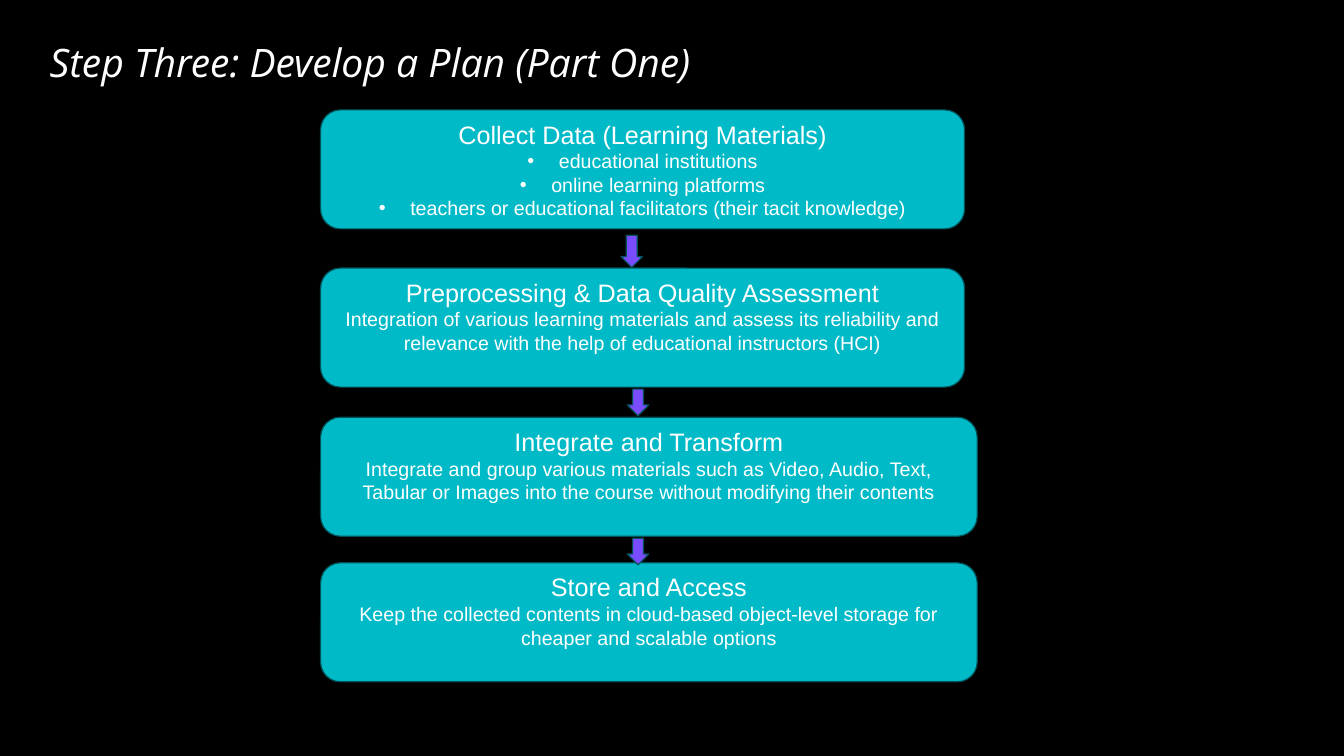
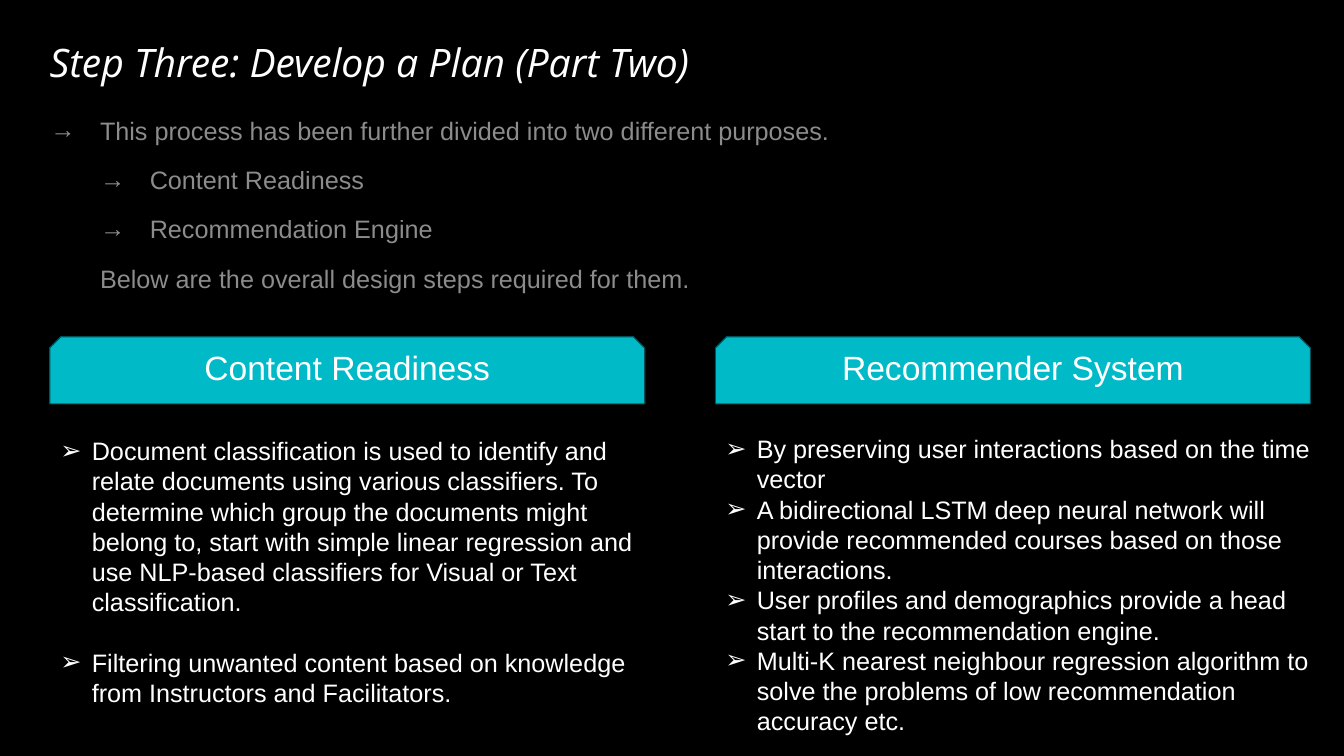
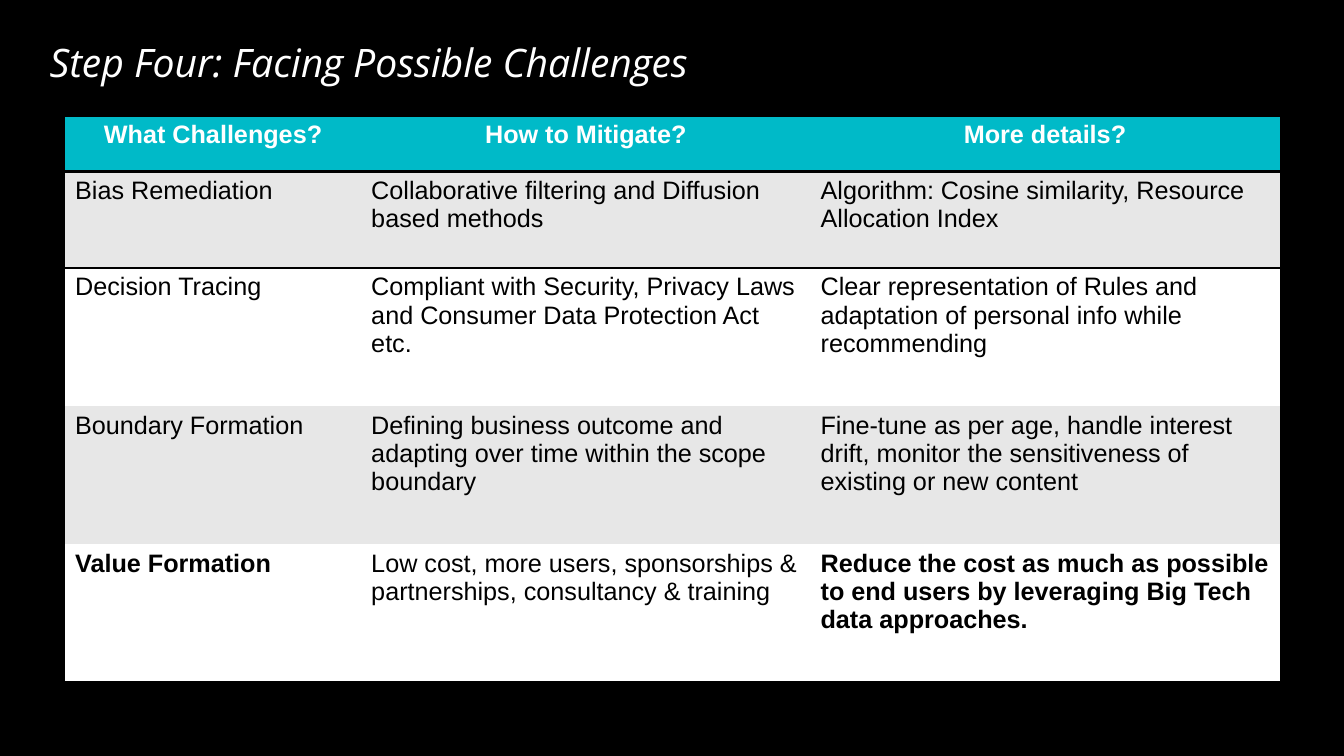
"""Build three slides on a learning platform plan: data steps, design steps and challenges."""
from lxml import etree
from pptx import Presentation
from pptx.dml.color import RGBColor
from pptx.enum import shapes, text
from pptx.oxml import ns
from pptx.util import Pt

COLOURS = {
    "black": "000000",
    "white": "FFFFFF",
    "teal": "00BAC8",
    "outline": "005258",
    "violet": "794DFF",
    "band": "E7E7E7",
}
RGB = {name: RGBColor.from_string(value) for name, value in COLOURS.items()}
CENTER = text.PP_ALIGN.CENTER
PRESET = shapes.MSO_SHAPE


def write(frame, words, size=18, colour="white", font="Arial", align=None, bullet=None, margin=0, hanging=0):
    paragraph = frame.paragraphs[0]
    if paragraph.runs:
        paragraph = frame.add_paragraph()
    paragraph.alignment = align
    run = paragraph.add_run()
    run.text = words
    run.font.size = Pt(size)
    run.font.name = font
    run.font.color.rgb = RGB[colour]
    if margin:
        properties = paragraph._p.get_or_add_pPr()
        properties.set("marL", str(Pt(margin)))
        properties.set("indent", str(-Pt(hanging)))
        if bullet:
            etree.SubElement(properties, ns.qn("a:buFont"), typeface="Arial")
            etree.SubElement(properties, ns.qn("a:buChar"), char=bullet)
    return paragraph


def add_block(slide, preset, left, top, width, height, fill):
    block = slide.shapes.add_shape(preset, Pt(left), Pt(top), Pt(width), Pt(height))
    block.shadow.inherit = False
    block.fill.solid()
    block.fill.fore_color.rgb = RGB[fill]
    block.line.color.rgb = RGB["outline"]
    block.line.width = Pt(0.85)
    return block


deck = Presentation()
deck.slide_width, deck.slide_height = Pt(960), Pt(540)

slides = []
for heading in (
    "Step Three: Develop a Plan (Part One)",
    "Step Three: Develop a Plan (Part Two)",
    "Step Four: Facing Possible Challenges",
):
    slide = deck.slides.add_slide(deck.slide_layouts[6])
    slide.background.fill.solid()
    slide.background.fill.fore_color.rgb = RGB["black"]
    title = slide.shapes.add_textbox(Pt(35.5), Pt(31), Pt(890), Pt(35)).text_frame
    title.word_wrap = True
    title.margin_left = title.margin_top = title.margin_right = title.margin_bottom = 0
    line = write(title, heading, 28, font="Open Sans")
    line.line_spacing = 0.9
    line.runs[0].font.italic = True
    slides.append(slide)
pipeline, design, challenges = slides

steps = [
    (78.5, 460, "Collect Data (Learning Materials)", [
        "educational institutions",
        "online learning platforms",
        "teachers or educational facilitators (their tacit knowledge)",
    ]),
    (191.5, 460, "Preprocessing & Data Quality Assessment", [
        "Integration of various learning materials and assess its reliability and relevance "
        "with the help of educational instructors (HCI)",
    ]),
    (298, 469, "Integrate and Transform", [
        "Integrate and group various materials such as Video, Audio, Text, Tabular or Images "
        "into the course without modifying their contents",
    ]),
    (402, 469, "Store and Access", [
        "Keep the collected contents in cloud-based object-level storage for cheaper and scalable options",
    ]),
]
for top, width, name, details in steps:
    step = add_block(pipeline, PRESET.ROUNDED_RECTANGLE, 229, top, width, 85, "teal").text_frame
    step.word_wrap = True
    step.vertical_anchor = text.MSO_ANCHOR.MIDDLE
    write(step, name, align=CENTER)
    listed = len(details) > 1
    for detail in details:
        write(step, detail, 14, align=CENTER, bullet="•", margin=22.5 * listed, hanging=22.5)
    if not listed:
        step.margin_bottom = Pt(20.5)

for left, top, height in ((443.5, 168, 23), (448, 278, 19), (448, 384.5, 19)):
    add_block(pipeline, PRESET.DOWN_ARROW, left, top, 15.5, height, "violet")

intro = design.shapes.add_textbox(Pt(36), Pt(73.5), Pt(889), Pt(137.5)).text_frame
intro.word_wrap = True
intro.margin_left = intro.margin_top = intro.margin_bottom = 0
for words, bullet, margin, hanging, before in (
    ("This process has been further divided into two different purposes.", "→", 35.5, 35.5, 10),
    ("Content Readiness", "→", 71, 35.5, 5),
    ("Recommendation Engine", "→", 71, 35.5, 5),
    ("Below are the overall design steps required for them.", None, 35.5, 0, 5),
):
    line = write(intro, words, bullet=bullet, margin=margin, hanging=hanging)
    line.line_spacing = 1.4
    line.space_before = Pt(before)
    tint = line.runs[0]._r.find(".//" + ns.qn("a:srgbClr"))
    etree.SubElement(tint, ns.qn("a:alpha"), val="55000")

purposes = [
    (35.5, 36, 307.5, 0, 21.5, "Content Readiness", [
        "Document classification is used to identify and relate documents using various classifiers. "
        "To determine which group the documents might belong to, start with simple linear regression "
        "and use NLP-based classifiers for Visual or Text classification.",
        "Filtering unwanted content based on knowledge from Instructors and Facilitators.",
    ]),
    (511, 511, 306, 0, 0, "Recommender System", [
        "By preserving user interactions based on the time vector",
        "A bidirectional LSTM deep neural network will provide recommended courses based on those interactions.",
        "User profiles and demographics provide a head start to the recommendation engine.",
        "Multi-K nearest neighbour regression algorithm to solve the problems of low recommendation accuracy etc.",
    ]),
]
for banner_left, list_left, list_top, first_gap, gap, name, points in purposes:
    banner = add_block(design, PRESET.SNIP_2_SAME_RECTANGLE, banner_left, 240.5, 425, 48, "teal").text_frame
    banner.word_wrap = True
    banner.vertical_anchor = text.MSO_ANCHOR.TOP
    write(banner, name, 24, align=CENTER)
    points_frame = design.shapes.add_textbox(Pt(list_left), Pt(list_top), Pt(444), Pt(220)).text_frame
    points_frame.word_wrap = True
    for index, point in enumerate(points):
        line = write(points_frame, point, bullet="➢", margin=22.5, hanging=22.5)
        line.space_before = Pt(gap if index else first_gap)

rows = [
    ("What Challenges?", "How to Mitigate?", "More details?"),
    ("Bias Remediation", "Collaborative filtering and Diffusion based methods",
     "Algorithm: Cosine similarity, Resource Allocation Index"),
    ("Decision Tracing", "Compliant with Security, Privacy Laws and Consumer Data Protection Act etc.",
     "Clear representation of Rules and adaptation of personal info while recommending"),
    ("Boundary Formation", "Defining business outcome and adapting over time within the scope boundary",
     "Fine-tune as per age, handle interest drift, monitor the sensitiveness of existing or new content"),
    ("Value Formation", "Low cost, more users, sponsorships & partnerships, consultancy & training",
     "Reduce the cost as much as possible to end users by leveraging Big Tech data approaches."),
]
bold_cells = {(0, 0), (0, 1), (0, 2), (4, 0), (4, 2)}
ruled_sides = {0: ("a:lnT", "a:lnB"), 1: ("a:lnT",), 4: ("a:lnB",)}
frame = challenges.shapes.add_table(5, 3, Pt(46.5), Pt(82.5), Pt(867.5), Pt(405))
grid = frame.table
grid.horz_banding = False
frame._element.find(".//" + ns.qn("a:tableStyleId")).text = "{2D5ABB26-0587-4C30-8999-92F81FD0307C}"
for column, width in zip(grid.columns, (211.5, 321, 335)):
    column.width = Pt(width)
for row, height in zip(grid.rows, (40, 69, 98.67, 98.67, 98.67)):
    row.height = Pt(height)
for r, entries in enumerate(rows):
    for c, entry in enumerate(entries):
        cell = grid.cell(r, c)
        for side in ruled_sides.get(r, ()):
            border = etree.SubElement(cell._tc.get_or_add_tcPr(), ns.qn(side), w=str(Pt(2)))
            paint = etree.SubElement(border, ns.qn("a:solidFill"))
            etree.SubElement(paint, ns.qn("a:srgbClr"), val=COLOURS["black"])
        cell.fill.solid()
        cell.fill.fore_color.rgb = RGB["teal" if r == 0 else "band" if r % 2 else "white"]
        line = write(cell.text_frame, entry, colour="black" if r else "white", align=None if r else CENTER)
        line.runs[0].font.bold = (r, c) in bold_cells

deck.save("out.pptx")
